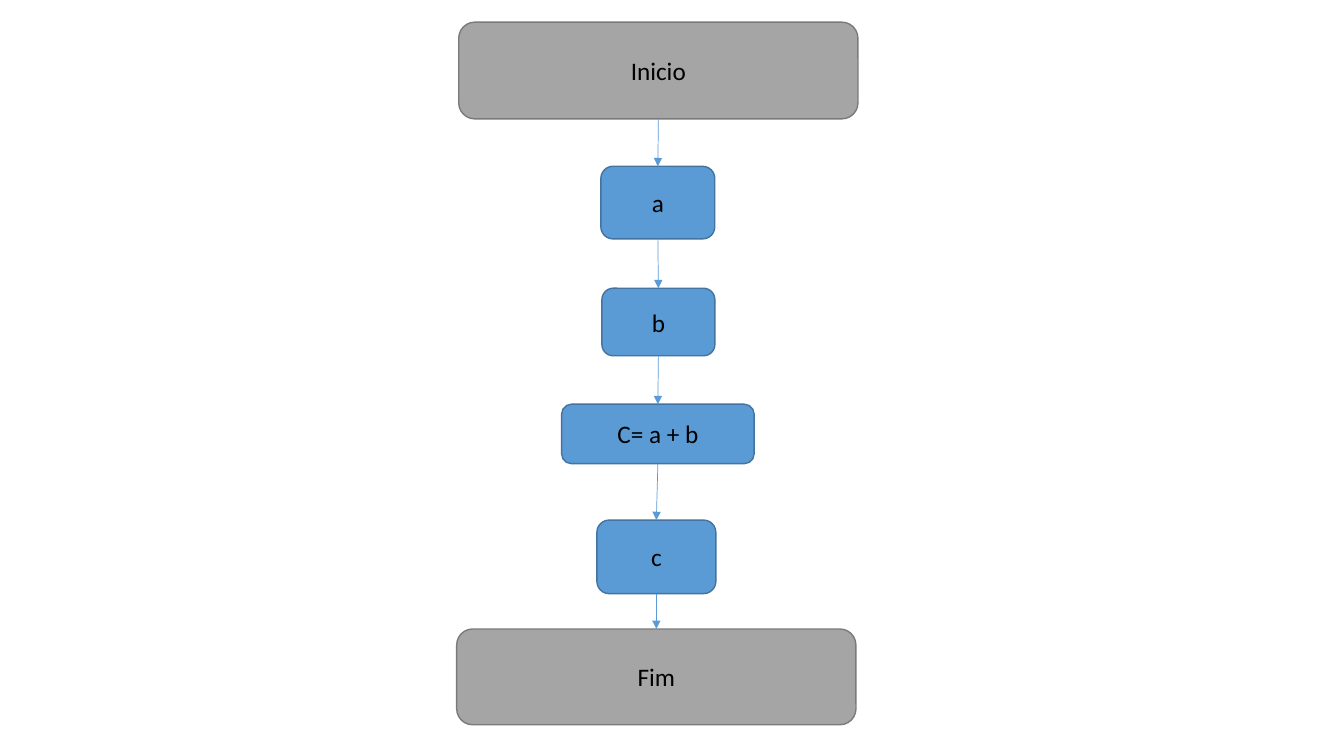
from dataclasses import dataclass
from itertools import pairwise

from lxml.etree import SubElement
from pptx import Presentation
from pptx.dml.color import RGBColor
from pptx.enum.shapes import MSO_CONNECTOR, MSO_SHAPE
from pptx.enum.text import MSO_ANCHOR, PP_ALIGN
from pptx.oxml.ns import qn
from pptx.util import Inches, Pt


@dataclass(frozen=True)
class Theme:
    font: str = "Calibri"
    text_size: float = 18
    text: str = "000000"
    terminal: tuple = ("A5A5A5", "7A7A7A")  # fill, outline
    step: tuple = ("5B9BD5", "43739E")
    arrow: str = "5B9BD5"
    outline_width: float = 1
    arrow_width: float = 0.5


def write_text(shape, text, *, font, size, color):
    frame = shape.text_frame
    frame.word_wrap = True
    frame.vertical_anchor = MSO_ANCHOR.MIDDLE
    para = frame.paragraphs[0]
    para.alignment = PP_ALIGN.CENTER
    span = para.add_run()
    span.text = text
    span.font.name = font
    span.font.size = Pt(size)
    span.font.color.rgb = RGBColor.from_string(color)


class Flowchart:
    def __init__(self, page, theme):
        self.page = page
        self.theme = theme

    def add_box(self, text, colors, left, top, width, height):
        theme = self.theme
        fill, outline = colors
        box = self.page.shapes.add_shape(
            MSO_SHAPE.ROUNDED_RECTANGLE,
            Inches(left), Inches(top), Inches(width), Inches(height))
        box.shadow.inherit = False
        box.fill.solid()
        box.fill.fore_color.rgb = RGBColor.from_string(fill)
        box.line.color.rgb = RGBColor.from_string(outline)
        box.line.width = Pt(theme.outline_width)
        write_text(box, text, font=theme.font, size=theme.text_size, color=theme.text)
        return box

    def add_arrow(self, upper, lower):
        arrow = self.page.shapes.add_connector(MSO_CONNECTOR.STRAIGHT, 0, 0, 0, 0)
        arrow.begin_connect(upper, 2)
        arrow.end_connect(lower, 0)
        arrow.line.color.rgb = RGBColor.from_string(self.theme.arrow)
        arrow.line.width = Pt(self.theme.arrow_width)
        properties = arrow._element.spPr
        SubElement(properties.find(qn("a:ln")), qn("a:tailEnd"), type="triangle")
        SubElement(properties, qn("a:effectLst"))
        return arrow


def main():
    deck = Presentation()
    deck.slide_width, deck.slide_height = Inches(13.33), Inches(7.5)
    page = deck.slides.add_slide(deck.slide_layouts[6])
    theme = Theme()
    chart = Flowchart(page, theme)

    # Boxes from start to end: text, colours, left, top, width, height
    stages = [
        ("Inicio", theme.terminal, 4.55, 0.22, 3.96, 0.96),
        ("a", theme.step, 5.96, 1.65, 1.13, 0.72),
        ("b", theme.step, 5.97, 2.86, 1.12, 0.67),
        ("C= a + b", theme.step, 5.57, 4.01, 1.91, 0.59),
        ("c", theme.step, 5.92, 5.16, 1.18, 0.73),
        ("Fim", theme.terminal, 4.53, 6.24, 3.96, 0.95),
    ]
    boxes = [chart.add_box(*stage) for stage in stages]

    # Arrows between consecutive boxes
    for upper, lower in pairwise(boxes):
        chart.add_arrow(upper, lower)

    deck.save("out.pptx")


if __name__ == "__main__":
    main()
